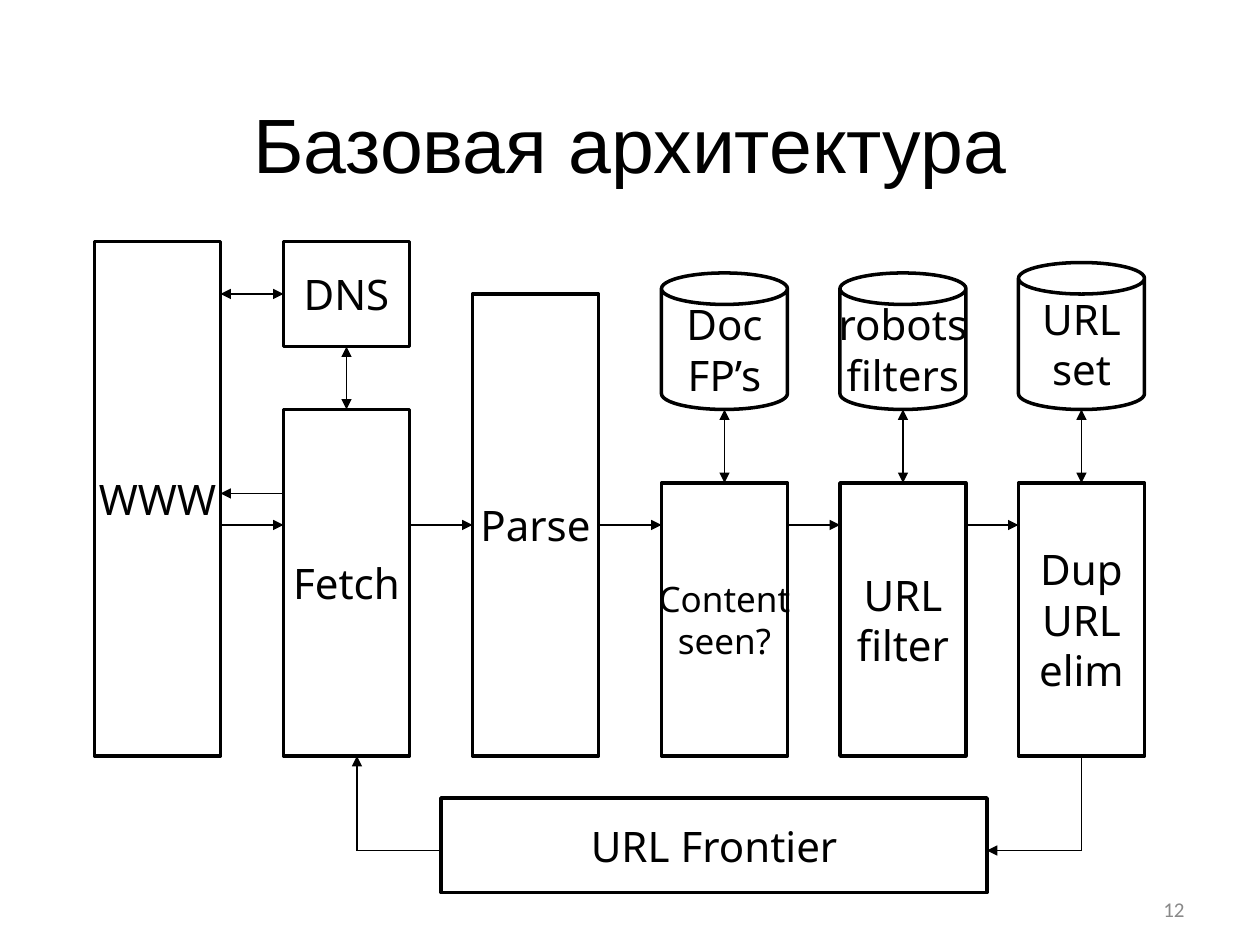
from dataclasses import dataclass

from lxml import etree
from pptx import Presentation
from pptx import util as u
from pptx.dml.color import RGBColor
from pptx.enum import shapes, text
from pptx.oxml import ns

COLS, ROWS = 120, 90  # grid of the slide, twelve cells to the inch
CELL = u.Inches(1) // 12
WIDE = 12  # columns taken by one stage
RECT, CAN = shapes.MSO_SHAPE.RECTANGLE, shapes.MSO_SHAPE.CAN
MID, LOW = text.MSO_ANCHOR.MIDDLE, text.MSO_ANCHOR.BOTTOM
CENTER, RIGHT = text.PP_ALIGN.CENTER, text.PP_ALIGN.RIGHT


@dataclass(frozen=True)
class Theme:
    ink: RGBColor = RGBColor(0, 0, 0)
    gray: RGBColor = RGBColor(0x89, 0x89, 0x89)
    head: str = "Arial"
    body: str = "Noto Sans"
    foot: str = "Calibri"
    big: int = 44
    base: int = 24
    small: int = 20
    tiny: int = 12
    edge: float = 2
    thin: float = 0.75


@dataclass(frozen=True)
class Node:
    label: str
    col: int
    top: int
    end: int
    wide: int = WIDE
    kind: int = RECT
    size: int = Theme.base


@dataclass(frozen=True)
class Link:
    col: int
    row: int
    to_col: int
    to_row: int
    start: bool = False
    end: bool = True


# Left edges of the stages
WWW, FETCH, PARSE, SEEN, FILTER, DUP = 9, 27, 45, 63, 80, 97
HALF = WIDE // 2
STORE, STAGE, FLOOR = 39, 46, 72  # end of stores, top of stages, their end
FLOW, BACK = 50, 81  # rows of the main flow and of the return
FRONT, SPAN = 42, 52

NODES = [
    Node("WWW", WWW, 23, FLOOR),
    Node("DNS", FETCH, 23, 33),
    Node("Fetch", FETCH, STORE, FLOOR),
    Node("Parse", PARSE, 28, FLOOR),
    Node("Content\nseen?", SEEN, STAGE, FLOOR, size=Theme.small),
    Node("URL\nfilter", FILTER, STAGE, FLOOR),
    Node("Dup\nURL\nelim", DUP, STAGE, FLOOR),
    Node("Doc\nFP’s", SEEN, 26, STORE, kind=CAN),
    Node("robots\nfilters", FILTER, 26, STORE, kind=CAN),
    Node("URL\nset", DUP, 25, STORE, kind=CAN),
    Node("URL Frontier", FRONT, 76, 85, wide=SPAN),
]

STAGES = [WWW, FETCH, PARSE, SEEN, FILTER, DUP]
LINKS = [
    # Main flow, then each store with its stage
    *(Link(a + WIDE, FLOW, b, FLOW) for a, b in zip(STAGES, STAGES[1:])),
    *(Link(c + HALF, STORE, c + HALF, STAGE, start=True)
      for c in (SEEN, FILTER, DUP)),
    # DNS and the answer to the web
    Link(FETCH, 28, WWW + WIDE, 28, start=True),
    Link(FETCH + HALF, 33, FETCH + HALF, STORE, start=True),
    Link(FETCH, 47, WWW + WIDE, 47),
    # Return through the frontier
    Link(DUP + HALF, FLOOR, DUP + HALF, BACK, end=False),
    Link(DUP + HALF, BACK, FRONT + SPAN, BACK),
    Link(FRONT, BACK, 34, BACK, end=False),
    Link(34, BACK, 34, FLOOR),
]


def write(shape, words: str, font: str, size: int, color: RGBColor,
          align=CENTER, anchor=MID, wrap: bool = True) -> None:
    frame = shape.text_frame
    frame.text = words
    frame.word_wrap = wrap
    frame.vertical_anchor = anchor
    for para in frame.paragraphs:
        para.alignment = align
        para.font.name = font
        para.font.size = u.Pt(size)
        para.font.color.rgb = color


def draw_node(slide, node: Node, theme: Theme) -> None:
    shape = slide.shapes.add_shape(
        node.kind, node.col * CELL, node.top * CELL,
        node.wide * CELL, (node.end - node.top) * CELL)
    shape.shadow.inherit = False
    shape.fill.background()
    shape.line.color.rgb = theme.ink
    shape.line.width = u.Pt(theme.edge)
    write(shape, node.label, theme.body, node.size, theme.ink, wrap=False)


def draw_link(slide, link: Link, theme: Theme) -> None:
    wire = slide.shapes.add_connector(
        shapes.MSO_CONNECTOR.STRAIGHT, link.col * CELL, link.row * CELL,
        link.to_col * CELL, link.to_row * CELL)
    wire.line.color.rgb = theme.ink
    wire.line.width = u.Pt(theme.thin)
    line = wire.line._get_or_add_ln()
    for tag, shown in (("a:headEnd", link.start), ("a:tailEnd", link.end)):
        if shown:
            etree.SubElement(line, ns.qn(tag), type="triangle")
    etree.SubElement(wire._element.spPr, ns.qn("a:effectLst"))


def main() -> None:
    theme = Theme()
    deck = Presentation()
    deck.slide_width, deck.slide_height = COLS * CELL, ROWS * CELL
    slide = deck.slides.add_slide(deck.slide_layouts[6])

    # Title
    title = slide.shapes.add_textbox(
        6 * CELL, u.Inches(0.3), 108 * CELL, 15 * CELL)
    write(title, "Базовая архитектура", theme.head, theme.big, theme.ink,
          anchor=LOW)

    # Diagram
    for node in NODES:
        draw_node(slide, node, theme)
    for link in LINKS:
        draw_link(slide, link, theme)

    # Page number
    page = slide.shapes.add_textbox(
        86 * CELL, 85 * CELL, 28 * CELL, u.Inches(0.27))
    write(page, "12", theme.foot, theme.tiny, theme.gray, align=RIGHT)

    deck.save("out.pptx")


if __name__ == "__main__":
    main()
